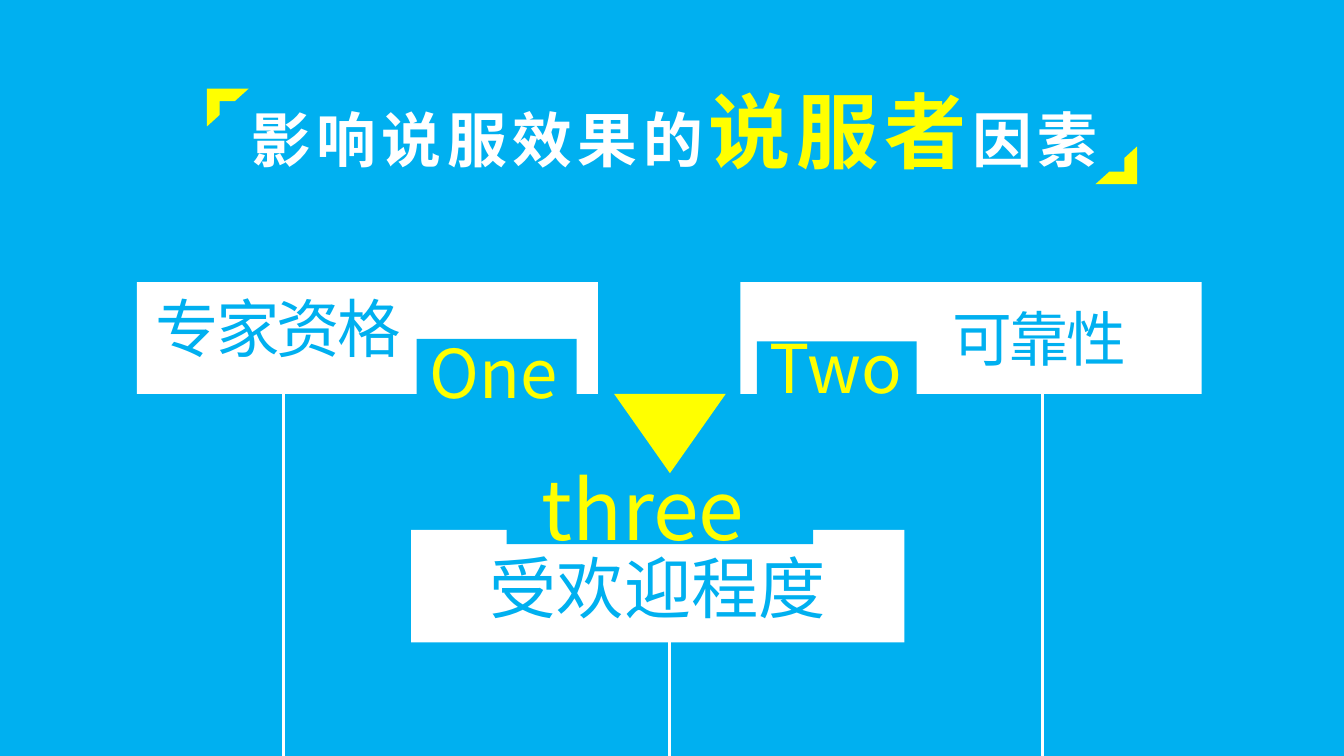
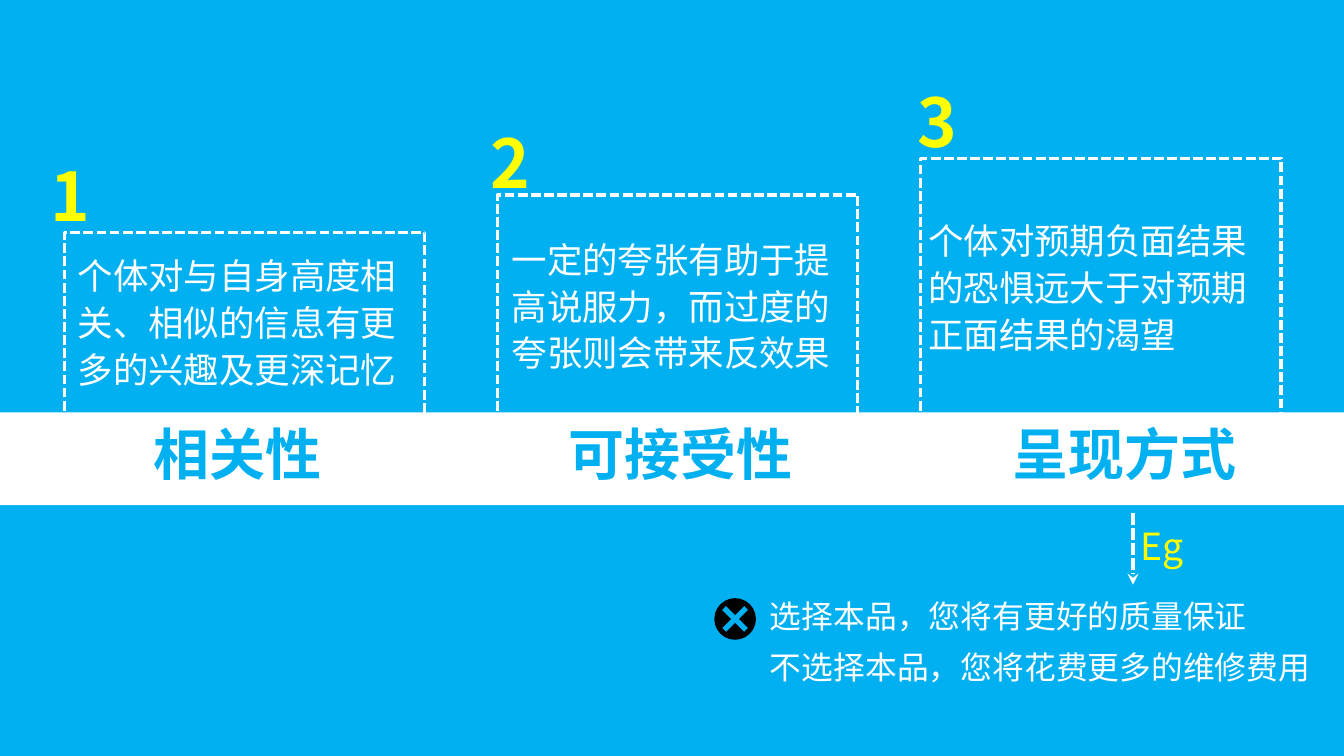
from lxml.etree import SubElement
from pptx import Presentation
from pptx.dml.color import RGBColor
from pptx.enum.dml import MSO_LINE
from pptx.enum.shapes import MSO_CONNECTOR, MSO_SHAPE as SHAPE
from pptx.enum.text import MSO_ANCHOR as ANCHOR, PP_ALIGN as ALIGN
from pptx.oxml.ns import qn
from pptx.util import Pt

# Shared look
COLORS = {"sky": "00B0F0", "white": "FFFFFF", "yellow": "FFFF00", "black": "000000"}
HAN, LATIN = "Noto Sans CJK SC", "Noto Sans CJK JP"
WIDTH, HEIGHT = 720, 405

# Slide 1 content
TITLE = [("影响说服效果的", 32, "white"), ("说服者", 44, "yellow"), ("因素", 32, "white")]
TITLE_BOX = (127.4, 39.6, 578, 60.5)
TITLE_CORNERS = [(110.9, 47.5, 0), (586.8, 78.5, 180)]  # left, top, rotation
FACTORS = [
    dict(label="可靠性", size=32, spacing=-1.5, card=(396.7, 151.2, 247, 59.8),
         text=(503, 151.2, 130, 59.8), notch=(405.4, 182.9, 85.7, 43.9),
         order="Two", order_size=36, order_box=(405.4, 171.4, 90.7, 51.1), stem=558.7),
    dict(label="受欢迎程度", size=36, spacing=0, card=(220.3, 283.9, 264.2, 60.3),
         text=(220.3, 283.9, 264.2, 60.3), notch=(271.4, 247.7, 164.2, 43.9),
         order="three", order_size=44, order_box=(283, 241.9, 158.4, 60.5), stem=358.6),
    dict(label="专家资格", size=34, spacing=-1.5, card=(73.4, 151.2, 247, 59.8),
         text=(76.3, 151.2, 151.2, 48.2), notch=(223.2, 181.6, 85.7, 43.9),
         order="One", order_size=36, order_box=(223.2, 174.2, 96.5, 51.1), stem=151.9),
]
POINTER = (329, 211, 59.8, 42.5)

# Slide 2 content
BAND = (0, 221, WIDTH, 49.7)
FRAME_WIDTH, FRAME_BOTTOM = 193, 236
PRINCIPLES = [
    dict(number="1", number_at=(20.2, 79.2), frame_at=(34.6, 124.6),
         body="个体对与自身高度相关、相似的信息有更多的兴趣及更深记忆",
         body_at=(34.6, 130.3), name="相关性", name_center=127.4),
    dict(number="2", number_at=(255.6, 61.2), frame_at=(266.4, 104.4),
         body="一定的夸张有助于提高说服力，而过度的夸张则会带来反效果",
         body_at=(267.1, 121.7), name="可接受性", name_center=364.6),
    dict(number="3", number_at=(484.6, 39.6), frame_at=(493.2, 84.8),
         body="个体对预期负面结果的恐惧远大于对预期正面结果的渴望",
         body_at=(490.3, 111.6), name="呈现方式", name_center=602.3),
]
EXAMPLE_LINES = ["选择本品，您将有更好的质量保证", "不选择本品，您将花费更多的维修费用"]
EXAMPLE_LEFT, EXAMPLE_TOP, EXAMPLE_STEP = 405.4, 316, 27.4
CROSS_CENTER = (393.8, 331.6)


def color(name):
    return RGBColor.from_string(COLORS[name])


def new_slide(deck):
    slide = deck.slides.add_slide(deck.slide_layouts[6])
    fill = slide.background.fill
    fill.solid()
    fill.fore_color.rgb = color("sky")
    return slide


def add_figure(slide, kind, box, fill=None, rotation=0):
    figure = slide.shapes.add_shape(kind, *map(Pt, box))
    figure.shadow.inherit = False
    figure.rotation = rotation
    figure.line.fill.background()
    if fill:
        figure.fill.solid()
        figure.fill.fore_color.rgb = color(fill)
    else:
        figure.fill.background()
    return figure


def style_line(line, width, dash=None):
    line.color.rgb = color("white")
    line.width = Pt(width)
    if dash:
        line.dash_style = dash


def add_line(slide, x, top, bottom, width, dash=None):
    link = slide.shapes.add_connector(MSO_CONNECTOR.STRAIGHT, Pt(x), Pt(top), Pt(x), Pt(bottom))
    style_line(link.line, width, dash)
    SubElement(link._element.spPr, qn("a:effectLst"))
    return link


def add_text(slide, box, runs, font=HAN, bold=False, spacing=0, align=ALIGN.LEFT,
             anchor=ANCHOR.TOP, leading=None, wrap=True):
    """Write one paragraph from (text, size, colour) runs."""
    frame = slide.shapes.add_textbox(*map(Pt, box)).text_frame
    frame.word_wrap = wrap
    frame.vertical_anchor = anchor
    paragraph = frame.paragraphs[0]
    paragraph.alignment = align
    if leading:
        paragraph.line_spacing = leading
    for text, size, ink in runs:
        run = paragraph.add_run()
        run.text = text
        run.font.size, run.font.bold, run.font.name = Pt(size), bold, font
        run.font.color.rgb = color(ink)
        props = run._r.get_or_add_rPr()
        SubElement(props, qn("a:ea")).set("typeface", font)
        if spacing:
            props.set("spc", str(int(spacing * 100)))


def build_factors(deck):
    slide = new_slide(deck)
    # Title between two corner marks
    add_text(slide, TITLE_BOX, TITLE, bold=True, spacing=3)
    for left, top, rotation in TITLE_CORNERS:
        add_figure(slide, SHAPE.HALF_FRAME, (left, top, 22.3, 20.2), "yellow", rotation)
    # Notched cards, each hanging on a stem
    for factor in FACTORS:
        add_figure(slide, SHAPE.RECTANGLE, factor["card"], "white")
        add_figure(slide, SHAPE.RECTANGLE, factor["notch"], "sky")
        add_text(slide, factor["order_box"],
                 [(factor["order"], factor["order_size"], "yellow")], LATIN)
        centered = factor["text"] == factor["card"]
        add_text(slide, factor["text"], [(factor["label"], factor["size"], "sky")],
                 spacing=factor["spacing"], anchor=ANCHOR.MIDDLE,
                 align=ALIGN.CENTER if centered else ALIGN.LEFT)
        _, top, _, height = factor["card"]
        add_line(slide, factor["stem"], top + height, HEIGHT, 1.5)
    add_figure(slide, SHAPE.ISOSCELES_TRIANGLE, POINTER, "yellow", 180)


def build_principles(deck):
    slide = new_slide(deck)
    # Dashed frames run down behind the band
    for principle in PRINCIPLES:
        left, top = principle["frame_at"]
        frame = add_figure(slide, SHAPE.RECTANGLE, (left, top, FRAME_WIDTH, FRAME_BOTTOM - top))
        style_line(frame.line, 1.75, MSO_LINE.SQUARE_DOT)
    add_figure(slide, SHAPE.RECTANGLE, BAND, "white")
    for principle in PRINCIPLES:
        add_text(slide, (*principle["body_at"], 198.7, 83.5),
                 [(principle["body"], 19, "white")], leading=1.1)
        add_text(slide, (*principle["number_at"], 88.6, 51.1),
                 [(principle["number"], 36, "yellow")], LATIN, bold=True)
        add_text(slide, (principle["name_center"] - 78, BAND[1], 156, 43.9),
                 [(principle["name"], 30, "sky")], bold=True, align=ALIGN.CENTER)

    # Example under the third principle
    arrow = add_line(slide, 607, 275, 313.2, 2, MSO_LINE.SQUARE_DOT)
    SubElement(arrow.line._get_or_add_ln(), qn("a:tailEnd")).set("type", "stealth")
    add_text(slide, (604.1, 276.5, 39.6, 31.7), [("Eg", 20, "yellow")], LATIN, wrap=False)
    for row, sentence in enumerate(EXAMPLE_LINES):
        add_text(slide, (EXAMPLE_LEFT, EXAMPLE_TOP + row * EXAMPLE_STEP, 314, 28),
                 [(sentence, 17, "white")])
    # Cross badge
    x, y = CROSS_CENTER
    for kind, width, height, fill, rotation in [
        (SHAPE.OVAL, 22.3, 22.3, "black", 0),
        (SHAPE.RECTANGLE, 2.9, 16.6, "sky", 315),
        (SHAPE.RECTANGLE, 2.9, 16.6, "sky", 225),
    ]:
        add_figure(slide, kind, (x - width / 2, y - height / 2, width, height), fill, rotation)


def main():
    deck = Presentation()
    deck.slide_width, deck.slide_height = Pt(WIDTH), Pt(HEIGHT)
    build_factors(deck)
    build_principles(deck)
    deck.save("out.pptx")


if __name__ == "__main__":
    main()
